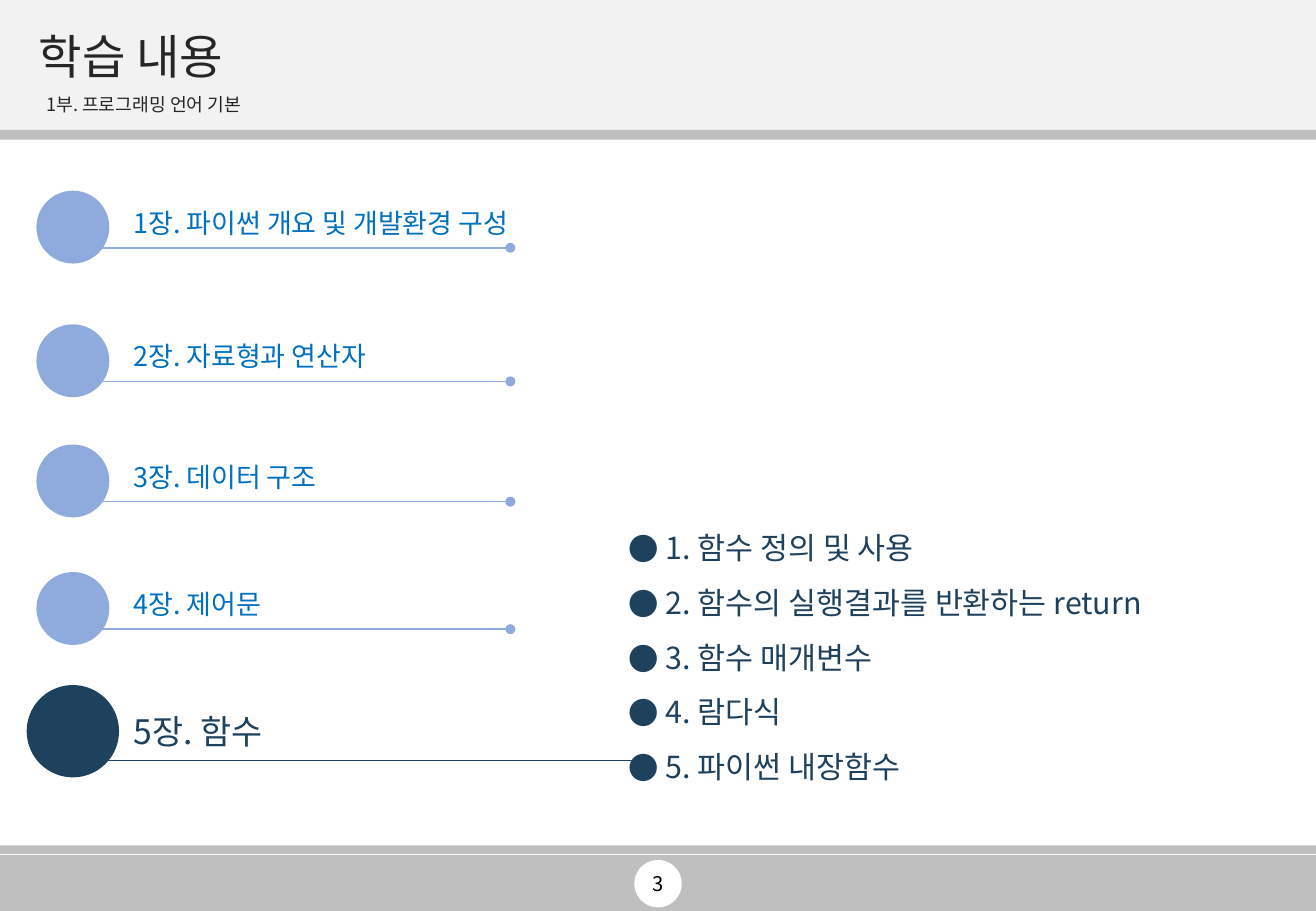
import pptx
import pptx.dml.color
import pptx.enum.shapes
import pptx.enum.text
import pptx.oxml
import pptx.oxml.ns
import pptx.util

RGB = pptx.dml.color.RGBColor
SHAPE = pptx.enum.shapes.MSO_SHAPE
ALIGN = pptx.enum.text.PP_ALIGN
ANCHOR = pptx.enum.text.MSO_ANCHOR
Inches, Pt, qn = pptx.util.Inches, pptx.util.Pt, pptx.oxml.ns.qn

WHITE = RGB(0xFF, 0xFF, 0xFF)
BLACK = RGB(0x00, 0x00, 0x00)
PALE_GRAY = RGB(0xF2, 0xF2, 0xF2)
GRAY = RGB(0xBF, 0xBF, 0xBF)
DARK = RGB(0x26, 0x26, 0x26)
NAVY = RGB(0x1E, 0x41, 0x5D)
LIGHT_BLUE = RGB(0x8F, 0xAA, 0xDC)
BLUE = RGB(0x00, 0x70, 0xC0)

FONT = "Noto Sans CJK KR"
WIDTH, HEIGHT = 10.83, 7.5
STRIPE = 0.08

# Chapter title, vertical centre of its row, text width
CHAPTERS = [
    ("1장. 파이썬 개요 및 개발환경 구성", 1.87, 3.55),
    ("2장. 자료형과 연산자", 2.97, 2.54),
    ("3장. 데이터 구조", 3.96, 2.54),
    ("4장. 제어문", 5.01, 2.54),
]
CURRENT_CHAPTER = ("5장. 함수", 6.02, 4.62)
SECTIONS = [
    "1. 함수 정의 및 사용",
    "2. 함수의 실행결과를 반환하는 return",
    "3. 함수 매개변수",
    "4. 람다식",
    "5. 파이썬 내장함수",
]


def add_child(parent, tag, **attributes):
    child = pptx.oxml.parse_xml(
        f'<{tag} xmlns:a="http://schemas.openxmlformats.org/drawingml/2006/main"/>')
    for name, value in attributes.items():
        child.set(name, value)
    parent.append(child)


def format_text(p, size, color):
    for r in p.runs:
        r.font.size = Pt(size)
        r.font.name = FONT
        r.font.color.rgb = color
        add_child(r.font._element, "a:ea", typeface=FONT)


def add_filled(slide, kind, x, y, w, h, color):
    sp = slide.shapes.add_shape(kind, Inches(x), Inches(y), Inches(w), Inches(h))
    sp.shadow.inherit = False
    sp.fill.solid()
    sp.fill.fore_color.rgb = color
    sp.line.fill.background()


def add_text(slide, x, y, w, h, text, size, color):
    sp = slide.shapes.add_textbox(Inches(x), Inches(y), Inches(w), Inches(h))
    tf = sp.text_frame
    tf.word_wrap = True
    tf.text = text
    for p in tf.paragraphs:
        format_text(p, size, color)
    return tf


def add_header(slide, x, y, w, h):
    add_filled(slide, SHAPE.RECTANGLE, x, y, w, h, PALE_GRAY)
    add_filled(slide, SHAPE.RECTANGLE, x, y + h, w, STRIPE, GRAY)

    # Title, brought in front of the band
    title = slide.shapes.title
    title.left, title.top = Inches(x + 0.22), Inches(y + 0.21)
    title.width, title.height = Inches(w - 0.44), Inches(0.55)
    title.element.getparent().append(title.element)
    tf = title.text_frame
    tf.text = "학습 내용"
    tf.vertical_anchor = ANCHOR.MIDDLE
    p = tf.paragraphs[0]
    p.alignment = ALIGN.LEFT
    p.line_spacing = 0.9
    format_text(p, 28, DARK)

    # Part name
    tf = add_text(slide, x + 0.3, y + 0.76, w - 0.51, 0.24,
                  "1부. 프로그래밍 언어 기본", 10.8, DARK)
    tf.margin_left = Inches(0.08)
    tf.vertical_anchor = ANCHOR.MIDDLE
    tf.paragraphs[0].line_spacing = 0.7


def add_footer(slide, x, y, w, h):
    add_filled(slide, SHAPE.RECTANGLE, x, y, w, STRIPE - 0.01, GRAY)
    add_filled(slide, SHAPE.RECTANGLE, x, y + STRIPE, w, h - STRIPE, GRAY)

    # Page number in a disc
    disc, number_width = 0.39, 2.44
    top = y + 0.12
    add_filled(slide, SHAPE.OVAL, x + (w - disc) / 2, top, disc, disc, WHITE)
    tf = add_text(slide, x + (w - number_width) / 2, top, number_width, disc,
                  "3", 12, BLACK)
    tf.vertical_anchor = ANCHOR.MIDDLE
    tf.paragraphs[0].alignment = ALIGN.CENTER


def add_chapter(slide, x, chapter, diameter, line_drop, line_length, size,
                accent, text_color):
    """Place a chapter row around a disc centred on x."""
    text, middle, text_width = chapter
    add_filled(slide, SHAPE.OVAL, x - diameter / 2, middle - diameter / 2,
               diameter, diameter, accent)
    left, y = Inches(x + 0.19), Inches(middle + line_drop)
    line = slide.shapes.add_connector(
        pptx.enum.shapes.MSO_CONNECTOR.STRAIGHT,
        left, y, left + Inches(line_length), y)
    line.line.color.rgb = accent
    line.line.width = Pt(1)
    add_child(line.line._get_or_add_ln(), "a:tailEnd", type="oval")
    add_child(line._element.spPr, "a:effectLst")
    add_text(slide, x + 0.4, middle - 0.22, text_width, 0.4, text, size, text_color)


def add_sections(slide, x, y, w, h):
    tf = add_text(slide, x, y, w, h, "\n".join(SECTIONS), 18, NAVY)
    for p in tf.paragraphs:
        pPr = p._p.get_or_add_pPr()
        pPr.set("marL", str(Inches(0.31)))
        pPr.set("indent", str(-Inches(0.31)))
        add_child(pPr, "a:buFont", typeface=FONT)
        add_child(pPr, "a:buChar", char="●")
        p.line_spacing = 1.5


def build_contents_slide(prs):
    slide = prs.slides.add_slide(prs.slide_layouts[5])
    add_footer(slide, 0, 6.96, WIDTH, HEIGHT - 6.96)
    add_header(slide, 0, 0, WIDTH, 1.07)
    for chapter in CHAPTERS:
        add_chapter(slide, 0.6, chapter, 0.6, 0.17, 3.41, 16, LIGHT_BLUE, BLUE)
    add_chapter(slide, 0.6, CURRENT_CHAPTER, 0.76, 0.24, 4.47, 20, NAVY, NAVY)
    add_sections(slide, 5.07, 4.16, 5.38, 2.37)


def main():
    prs = pptx.Presentation()
    prs.slide_width, prs.slide_height = Inches(WIDTH), Inches(HEIGHT)
    build_contents_slide(prs)
    prs.save("out.pptx")


if __name__ == "__main__":
    main()
